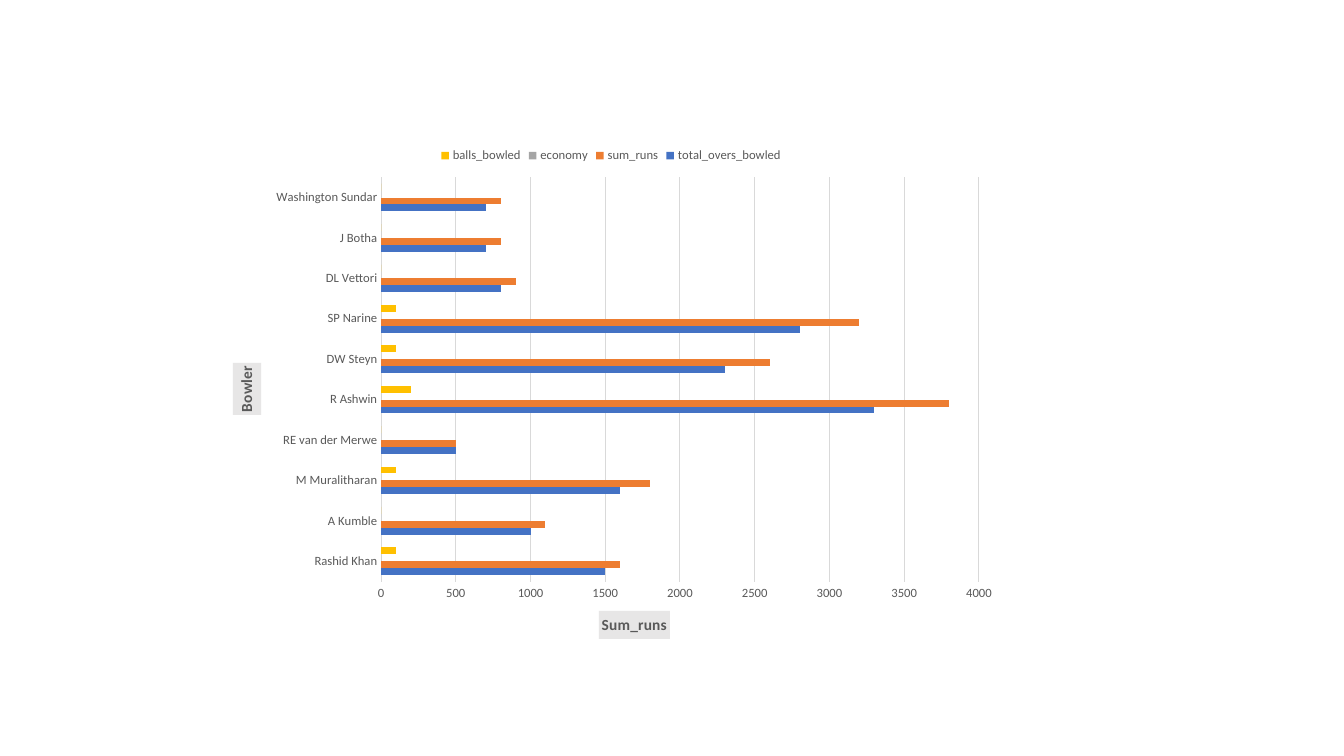
from dataclasses import dataclass

from lxml.etree import SubElement
from pptx import Presentation
from pptx.chart.axis import CategoryAxis, ValueAxis
from pptx.chart.chart import Chart
from pptx.chart.data import CategoryChartData
from pptx.dml.color import RGBColor
from pptx.enum.chart import XL_CHART_TYPE as ChartType
from pptx.enum.chart import XL_LEGEND_POSITION as LegendPosition
from pptx.enum.chart import XL_TICK_MARK as TickMark
from pptx.oxml.ns import qn
from pptx.oxml.xmlchemy import BaseOxmlElement as Element
from pptx.text.text import Font
from pptx.util import Inches, Pt

FONT_NAME = "Calibri"
GRAY_TEXT = RGBColor(0x59, 0x59, 0x59)
GRID_GRAY = RGBColor(0xD9, 0xD9, 0xD9)
TITLE_FILL = RGBColor(0xE7, 0xE6, 0xE6)
BLACK = RGBColor(0, 0, 0)
BLUE = RGBColor(0x44, 0x72, 0xC4)
ORANGE = RGBColor(0xED, 0x7D, 0x31)
GRAY = RGBColor(0xA5, 0xA5, 0xA5)
YELLOW = RGBColor(0xFF, 0xC0, 0x00)

CHART_WIDTH = 7.86
CHART_HEIGHT = 5.14


@dataclass(frozen=True)
class BowlingSeries:
    name: str
    values: tuple[int, ...]
    color: RGBColor


@dataclass(frozen=True)
class AxisTitle:
    """Text, offset in inches from the chart's corner, and degrees of turn."""
    text: str
    left: float
    top: float
    rotation: int


BOWLERS = (
    "Rashid Khan", "A Kumble", "M Muralitharan", "RE van der Merwe", "R Ashwin",
    "DW Steyn", "SP Narine", "DL Vettori", "J Botha", "Washington Sundar",
)
SERIES = (
    BowlingSeries("total_overs_bowled",
                  (1500, 1000, 1600, 500, 3300, 2300, 2800, 800, 700, 700), BLUE),
    BowlingSeries("sum_runs",
                  (1600, 1100, 1800, 500, 3800, 2600, 3200, 900, 800, 800), ORANGE),
    BowlingSeries("economy", (0,) * len(BOWLERS), GRAY),
    BowlingSeries("balls_bowled",
                  (100, 0, 100, 0, 200, 100, 100, 0, 0, 0), YELLOW),
)
BOWLER_TITLE = AxisTitle("Bowler", 0.18, 2.24, -90)
RUNS_TITLE = AxisTitle("Sum_runs", 3.81, 4.7, 0)


def style_font(font: Font, size: float, color: RGBColor, bold: bool = False) -> None:
    font.name = FONT_NAME
    font.size = Pt(size)
    font.bold = bold
    font.color.rgb = color


def set_layout(parent: Element, **settings: float | str) -> None:
    """Place a chart part by fractions of the chart's size."""
    layout = parent.find(qn("c:layout"))
    if layout is None:
        layout = SubElement(parent, qn("c:layout"))
        parent.insert(0, layout)
    manual = SubElement(layout, qn("c:manualLayout"))
    for name, value in settings.items():
        SubElement(manual, qn(f"c:{name}")).set("val", str(value))


def style_axis(axis: CategoryAxis | ValueAxis, title: AxisTitle) -> None:
    axis.major_tick_mark = axis.minor_tick_mark = TickMark.NONE
    style_font(axis.tick_labels.font, 9, GRAY_TEXT)
    axis_title = axis.axis_title
    axis_title.text_frame.text = title.text
    style_font(axis_title.text_frame.paragraphs[0].font, 11, GRAY_TEXT, bold=True)
    axis_title.format.fill.solid()
    axis_title.format.fill.fore_color.rgb = TITLE_FILL
    element = axis_title._element
    set_layout(element, xMode="edge", yMode="edge",
               x=title.left / CHART_WIDTH, y=title.top / CHART_HEIGHT)
    body = next(element.iter(qn("a:bodyPr")))
    body.set("rot", str(title.rotation * 60000))
    body.set("vert", "horz")


def style_chart(chart: Chart) -> None:
    style_font(chart.font, 10, BLACK)
    chart.has_title = False
    chart.has_legend = True
    chart.legend.position = LegendPosition.TOP
    chart.legend.include_in_layout = False
    style_font(chart.legend.font, 9, GRAY_TEXT)

    plot = chart.plots[0]
    plot.gap_width = 182
    plot.vary_by_categories = False
    for bars, series in zip(plot.series, SERIES):
        bars.format.fill.solid()
        bars.format.fill.fore_color.rgb = series.color

    style_axis(chart.category_axis, BOWLER_TITLE)
    style_axis(chart.value_axis, RUNS_TITLE)
    chart.value_axis.minimum_scale = 0
    chart.value_axis.maximum_scale = 4000
    chart.value_axis.major_unit = 500
    chart.value_axis.format.line.fill.background()
    for line in (chart.category_axis.format.line,
                 chart.value_axis.major_gridlines.format.line):
        line.color.rgb = GRID_GRAY
        line.width = Pt(0.75)

    plot_area = next(chart._chartSpace.iter(qn("c:plotArea")))
    set_layout(plot_area, layoutTarget="inner", xMode="edge", yMode="edge",
               x=1.65 / CHART_WIDTH, y=0.4 / CHART_HEIGHT,
               w=5.93 / CHART_WIDTH, h=4.01 / CHART_HEIGHT)


def main() -> None:
    presentation = Presentation()
    presentation.slide_width = Inches(13.33)
    presentation.slide_height = Inches(7.5)
    slide = presentation.slides.add_slide(presentation.slide_layouts[6])

    data = CategoryChartData()
    data.categories = BOWLERS
    for series in SERIES:
        data.add_series(series.name, series.values)
    frame = slide.shapes.add_chart(
        ChartType.BAR_CLUSTERED,
        Inches(2.13), Inches(1.36), Inches(CHART_WIDTH), Inches(CHART_HEIGHT), data)
    style_chart(frame.chart)
    presentation.save("out.pptx")


if __name__ == "__main__":
    main()
